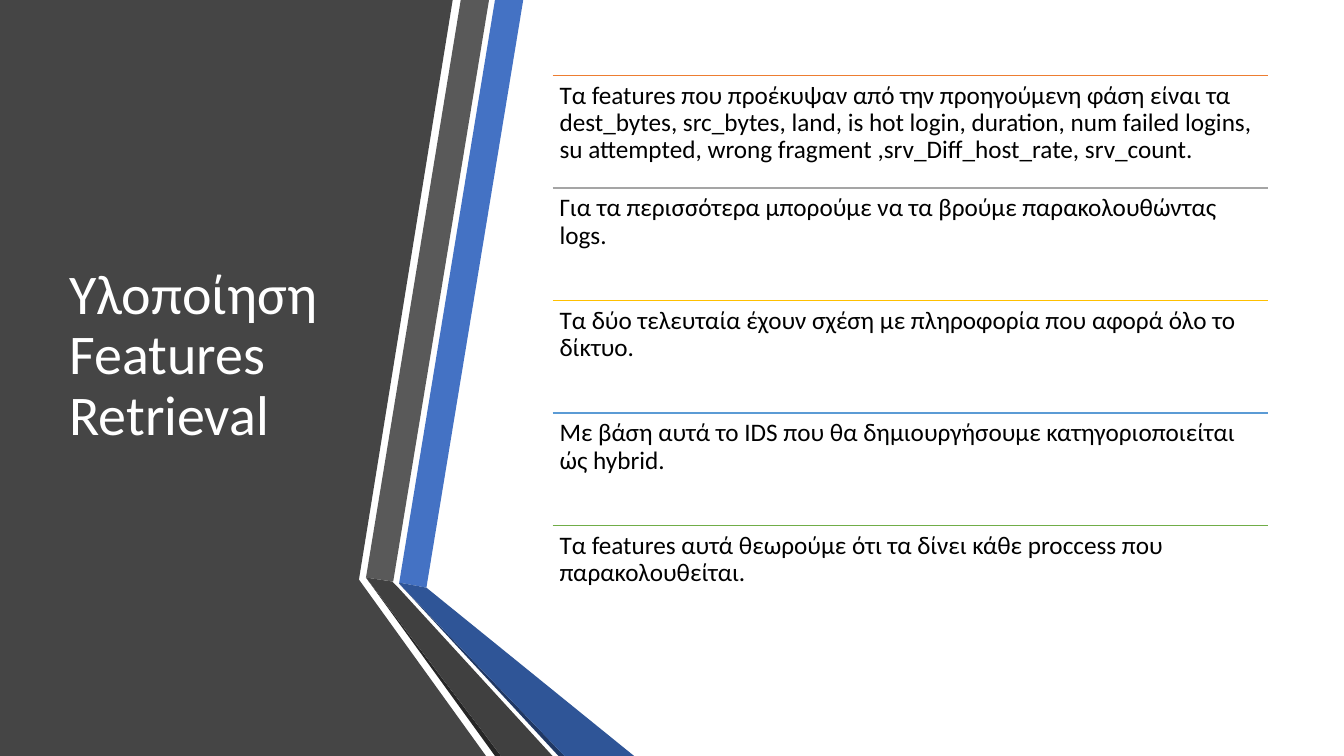
from lxml.etree import SubElement
from pptx import Presentation
from pptx.dml.color import RGBColor
from pptx.enum.shapes import MSO_CONNECTOR
from pptx.enum.text import MSO_ANCHOR
from pptx.oxml.ns import qn
from pptx.util import Inches, Pt

# Content
TITLE = "Υλοποίηση Features Retrieval"
ROWS = [
    ("Τα features που προέκυψαν από την προηγούμενη φάση είναι τα dest_bytes, "
     "src_bytes, land, is hot login, duration, num failed logins, su attempted, "
     "wrong fragment ,srv_Diff_host_rate, srv_count.", RGBColor(0xED, 0x7D, 0x31)),
    ("Για τα περισσότερα μπορούμε να τα βρούμε παρακολουθώντας logs.",
     RGBColor(0xA5, 0xA5, 0xA5)),
    ("Τα δύο τελευταία έχουν σχέση με πληροφορία που αφορά όλο το δίκτυο.",
     RGBColor(0xFF, 0xC0, 0x00)),
    ("Με βάση αυτά το IDS που θα δημιουργήσουμε κατηγοριοποιείται ώς hybrid.",
     RGBColor(0x5B, 0x9B, 0xD5)),
    ("Τα features αυτά θεωρούμε ότι τα δίνει κάθε proccess που παρακολουθείται.",
     RGBColor(0x70, 0xAD, 0x47)),
]

# Style and layout, in inches
WHITE = RGBColor(0xFF, 0xFF, 0xFF)
BLACK = RGBColor(0x00, 0x00, 0x00)
FONT = "Calibri"
WIDTH, HEIGHT = 13.33, 7.5
TOP = HEIGHT / 10
BODY_HEIGHT = 5.58
ROW_LEFT, ROW_WIDTH = 5.48, 7.1
ROW_HEIGHT = BODY_HEIGHT / len(ROWS)

# Side panel and folded ribbons: fill and corner points
PANEL_AND_RIBBONS = [
    (RGBColor(0x45, 0x45, 0x45),
     [(0, 0), (4.49, 0), (3.56, 5.75), (4.82, HEIGHT), (0, HEIGHT)]),
    (RGBColor(0x44, 0x72, 0xC4),
     [(3.96, 5.78), (4.23, 5.83), (5.19, 0), (4.91, 0)]),
    (RGBColor(0x59, 0x59, 0x59),
     [(4.85, 0), (4.57, 0), (3.63, 5.73), (3.9, 5.77)]),
    (RGBColor(0x26, 0x26, 0x26),
     [(3.63, 5.73), (4.91, HEIGHT), (4.97, HEIGHT)]),
    (RGBColor(0x20, 0x38, 0x64),
     [(3.96, 5.79), (5.54, HEIGHT), (5.6, HEIGHT)]),
    (RGBColor(0x2F, 0x55, 0x97),
     [(3.96, 5.78), (3.96, 5.79), (5.6, HEIGHT), (6.29, HEIGHT), (4.23, 5.83)]),
    (RGBColor(0x40, 0x40, 0x40),
     [(3.63, 5.73), (4.97, HEIGHT), (5.48, HEIGHT), (3.95, 5.83), (3.89, 5.77)]),
]


def add_polygon(slide, points, color):
    corners = [(Inches(x), Inches(y)) for x, y in points]
    builder = slide.shapes.build_freeform(*corners[0])
    builder.add_line_segments(corners[1:], close=True)
    shape = builder.convert_to_shape()
    shape.shadow.inherit = False
    shape.fill.solid()
    shape.fill.fore_color.rgb = color
    shape.line.fill.background()


def add_text(slide, text, box, size, color, inset, anchor, space_after=0):
    shape = slide.shapes.add_textbox(*map(Inches, box))
    frame = shape.text_frame
    frame.word_wrap = True
    frame.vertical_anchor = anchor
    frame.margin_left = frame.margin_right = Inches(inset)
    frame.margin_top = frame.margin_bottom = Inches(inset)
    paragraph = frame.paragraphs[0]
    paragraph.line_spacing = 0.9
    paragraph.space_after = Pt(space_after)
    run = paragraph.add_run()
    run.text = text
    run.font.name = FONT
    run.font.size = Pt(size)
    run.font.color.rgb = color


def add_rule(slide, top, color):
    line = slide.shapes.add_connector(
        MSO_CONNECTOR.STRAIGHT, Inches(ROW_LEFT), Inches(top),
        Inches(ROW_LEFT + ROW_WIDTH), Inches(top))
    line.line.color.rgb = color
    line.line.width = Pt(1)
    SubElement(line.element.spPr, qn("a:effectLst"))


def main():
    presentation = Presentation()
    presentation.slide_width = Inches(WIDTH)
    presentation.slide_height = Inches(HEIGHT)
    slide = presentation.slides.add_slide(presentation.slide_layouts[6])

    # Side panel with title
    for color, points in PANEL_AND_RIBBONS:
        add_polygon(slide, points, color)
    add_text(slide, TITLE, (0.59, TOP, 3.04, BODY_HEIGHT), 40, WHITE, 0.1,
             MSO_ANCHOR.MIDDLE)

    # Ruled rows of text
    for index, (text, color) in enumerate(ROWS):
        top = TOP + index * ROW_HEIGHT
        add_rule(slide, top, color)
        add_text(slide, text, (ROW_LEFT, top, ROW_WIDTH, ROW_HEIGHT), 18, BLACK,
                 0.07, MSO_ANCHOR.TOP, space_after=6.3)

    presentation.save("out.pptx")


if __name__ == "__main__":
    main()
